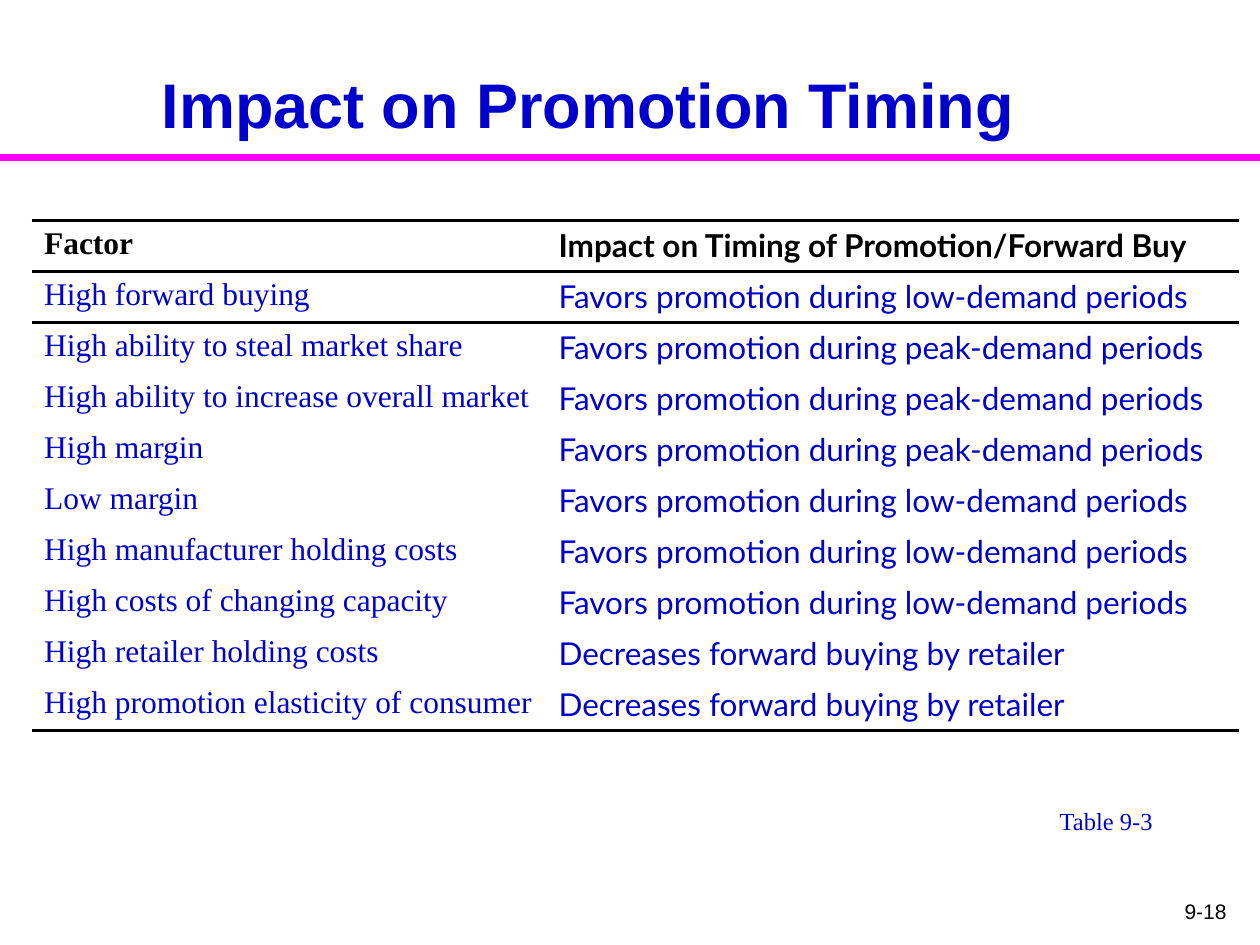
from lxml.etree import SubElement
from pptx import Presentation
from pptx.dml.color import RGBColor
from pptx.enum.shapes import MSO_CONNECTOR
from pptx.enum.text import MSO_ANCHOR, PP_ALIGN
from pptx.oxml import parse_xml
from pptx.oxml.ns import nsdecls, qn
from pptx.util import Inches, Pt

SLIDE_WIDTH, SLIDE_HEIGHT = Inches(10), Inches(7.5)
GRID_COLUMNS, GRID_ROWS = 120, 90
COLORS = {"ink": "000000", "blue": "0000CC", "magenta": "FF00FF"}
SERIF, SANS, HEADING = "Times New Roman", "Lato", "Arial"

FACTORS = [
    ("Factor", "Impact on Timing of Promotion/Forward Buy"),
    ("High forward buying", "Favors promotion during low-demand periods"),
    ("High ability to steal market share", "Favors promotion during peak-demand periods"),
    ("High ability to increase overall market", "Favors promotion during peak-demand periods"),
    ("High margin", "Favors promotion during peak-demand periods"),
    ("Low margin", "Favors promotion during low-demand periods"),
    ("High manufacturer holding costs", "Favors promotion during low-demand periods"),
    ("High costs of changing capacity", "Favors promotion during low-demand periods"),
    ("High retailer holding costs", "Decreases forward buying by retailer"),
    ("High promotion elasticity of consumer", "Decreases forward buying by retailer"),
]
# Horizontal rules in points, keyed by the row edge counted from the top
RULES = {0: 2.25, 1: 2.25, 2: 1.5, len(FACTORS): 2.25}


def across(columns):
    return round(SLIDE_WIDTH * columns / GRID_COLUMNS)


def down(rows):
    return round(SLIDE_HEIGHT * rows / GRID_ROWS)


def on_grid(left, top, width, height):
    return across(left), down(top), across(width), down(height)


def write(frame, text, font, size, color="blue", bold=False, align=PP_ALIGN.LEFT):
    paragraph = frame.paragraphs[0]
    paragraph.alignment = align
    run = paragraph.add_run()
    run.text = text
    run.font.name, run.font.size, run.font.bold = font, Pt(size), bold
    run.font.color.rgb = RGBColor.from_string(COLORS[color])


def add_heading(slide, box):
    title = slide.shapes.title
    title.left, title.top, title.width, title.height = on_grid(*box)
    title.text_frame.vertical_anchor = MSO_ANCHOR.BOTTOM
    title.text_frame.word_wrap = True
    write(title.text_frame, "Impact on Promotion Timing", HEADING, 36,
          bold=True, align=PP_ALIGN.CENTER)


def add_divider(slide, row):
    divider = slide.shapes.add_connector(
        MSO_CONNECTOR.STRAIGHT, 0, down(row), SLIDE_WIDTH, down(row))
    divider.line.color.rgb = RGBColor.from_string(COLORS["magenta"])
    divider.line.width = Pt(4)
    SubElement(divider.element.spPr, qn("a:effectLst"))


def set_borders(cell, top, bottom):
    """Rule the cell above and below; a weight of 0 leaves that side open."""
    weights = {"lnL": 0, "lnR": 0, "lnT": top, "lnB": bottom}
    properties = cell._tc.get_or_add_tcPr()
    for position, (side, weight) in enumerate(weights.items()):
        paint = (f'<a:solidFill><a:srgbClr val="{COLORS["ink"]}"/></a:solidFill>'
                 if weight else "<a:noFill/>")
        properties.insert(position, parse_xml(
            f'<a:{side} {nsdecls("a")} w="{Pt(weight)}">{paint}</a:{side}>'))


def add_factor_table(slide, box, factor_width):
    left, top, width, height = on_grid(*box)
    table = slide.shapes.add_table(len(FACTORS), 2, left, top, width, height).table
    table.first_row = table.horz_banding = False
    table.columns[0].width = across(factor_width)
    table.columns[1].width = width - across(factor_width)
    for row, entries in enumerate(FACTORS):
        header = row == 0
        for column, (text, font) in enumerate(zip(entries, (SERIF, SANS))):
            cell = table.cell(row, column)
            cell.fill.background()
            set_borders(cell, RULES.get(row, 0), RULES.get(row + 1, 0))
            write(cell.text_frame, text, font, 18,
                  color="ink" if header else "blue", bold=header)


def add_label(slide, box, text, wrap=True, **style):
    frame = slide.shapes.add_textbox(*on_grid(*box)).text_frame
    frame.word_wrap = wrap
    write(frame, text, **style)


def main():
    deck = Presentation()
    deck.slide_width, deck.slide_height = SLIDE_WIDTH, SLIDE_HEIGHT
    slide = deck.slides.add_slide(deck.slide_layouts[5])
    add_divider(slide, 15)
    add_heading(slide, (5, 2, 102, 12))
    add_factor_table(slide, (3, 21, 115, 48.6), factor_width=49)
    add_label(slide, (99.75, 76.2, 12, 4), "Table 9-3", wrap=False, font=SERIF, size=14)
    add_label(slide, (93, 85, 25, 5), "9-18", font=HEADING, size=12,
              color="ink", align=PP_ALIGN.RIGHT)
    deck.save("out.pptx")


if __name__ == "__main__":
    main()
